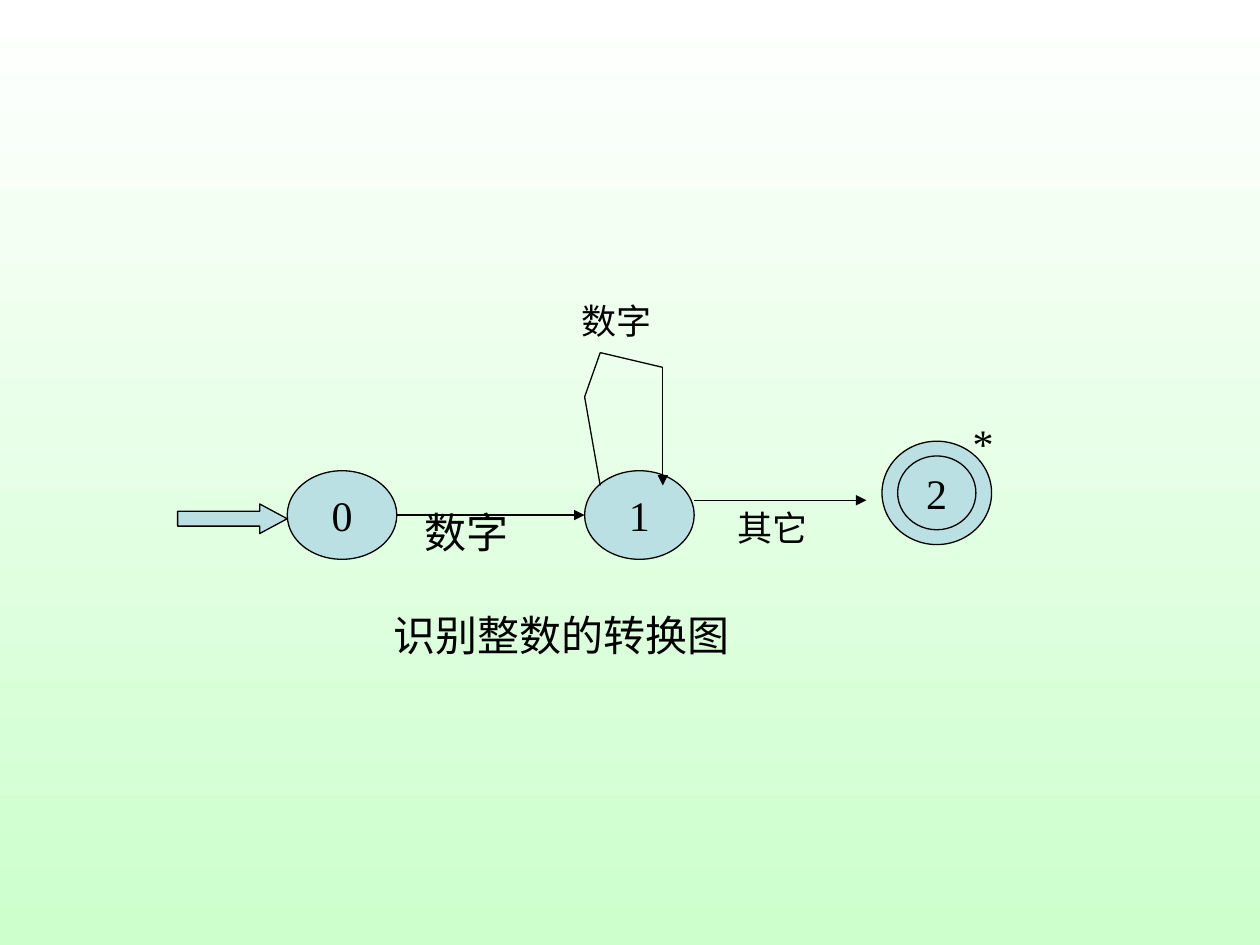
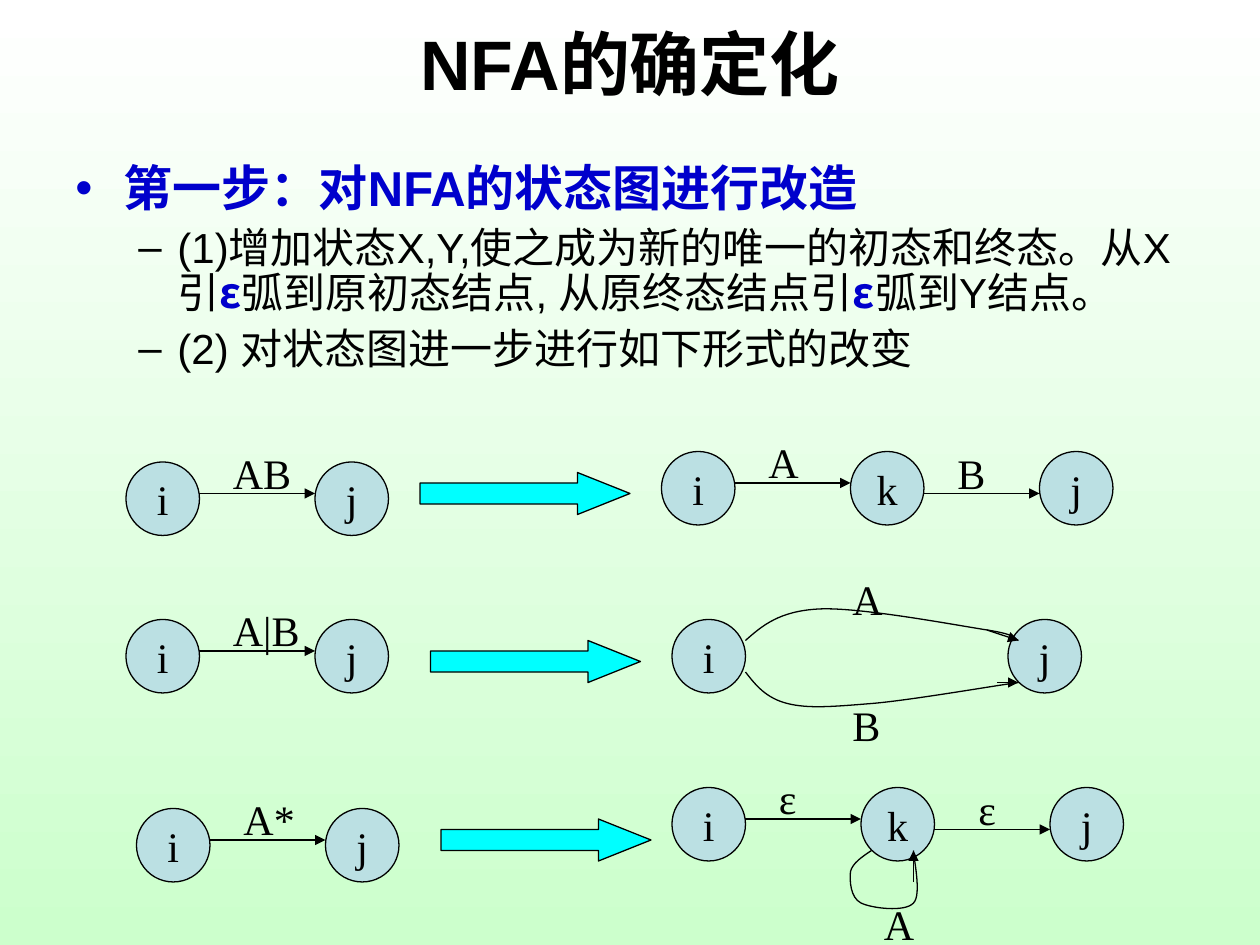
import dataclasses
import typing

import lxml.etree
import pptx
import pptx.dml.color
import pptx.enum.shapes
import pptx.enum.text
import pptx.oxml.ns
import pptx.util

RGB = pptx.dml.color.RGBColor
KIND = pptx.enum.shapes.MSO_SHAPE
ALIGN = pptx.enum.text.PP_ALIGN
ANCHOR = pptx.enum.text.MSO_ANCHOR
qn = pptx.oxml.ns.qn
Pt = pptx.util.Pt
Inches = pptx.util.Inches

BLACK = RGB(0x00, 0x00, 0x00)
WHITE = RGB(0xFF, 0xFF, 0xFF)
MINT = RGB(0xCC, 0xFF, 0xCC)
STATE = RGB(0xBB, 0xE0, 0xE3)
CYAN = RGB(0x00, 0xFF, 0xFF)
BLUE = RGB(0x00, 0x00, 0xCC)

WIDE, HIGH = 10, 7.5
SERIF, SANS, HAN = "Times New Roman", "Arial", "Noto Sans CJK JP"
NODE = {"name": SERIF, "size": Pt(24)}
SMALL = {**NODE, "size": Pt(20)}
TITLE = {"name": SANS, "size": Pt(40), "bold": True}
STEP = {"name": SANS, "size": Pt(28), "bold": True, "color": BLUE}
PLAIN = {"name": SANS, "size": Pt(24)}
MARK = {"name": HAN, "size": Pt(24), "bold": True, "color": BLUE}


@dataclasses.dataclass
class Grid:
    slide: typing.Any
    left: float
    top: float
    col: float
    row: float

    def spot(self, x, y):
        return Inches(self.left + x * self.col), Inches(self.top + y * self.row)

    def span(self, w, h):
        return Inches(w * self.col), Inches(h * self.row)


def put(thing, values):
    for key, value in values.items():
        setattr(thing, key, value)


def child(node, tag, **values):
    return lxml.etree.SubElement(node, qn(tag), values)


def add_run(para, text, style):
    run = para.add_run()
    run.text = text
    run.font.color.rgb = style.get("color", BLACK)
    put(run.font, {k: v for k, v in style.items() if k != "color"})
    child(run.font._element, "a:ea", typeface=HAN)


def outline(line):
    line.color.rgb = BLACK
    line.width = Pt(0.75)


def add_page(deck):
    slide = deck.slides.add_slide(deck.slide_layouts[6])
    fill = slide.background.fill
    fill.gradient()
    fill.gradient_angle = 270
    for stop, color in zip(fill.gradient_stops, (WHITE, MINT)):
        stop.color.rgb = color
    return slide


def add_form(grid, kind, x, y, w, h, color):
    form = grid.slide.shapes.add_shape(kind, *grid.spot(x, y), *grid.span(w, h))
    form.shadow.inherit = False
    form.fill.solid()
    form.fill.fore_color.rgb = color
    outline(form.line)
    return form


def add_state(grid, x, y, text="", w=7, h=7):
    form = add_form(grid, KIND.OVAL, x, y, w, h, STATE)
    if text:
        put(form.text_frame, {"word_wrap": False, "vertical_anchor": ANCHOR.MIDDLE})
        para = form.text_frame.paragraphs[0]
        para.alignment = ALIGN.CENTER
        add_run(para, text, NODE)


def add_block(grid, x, y, w, h, color, head):
    form = add_form(grid, KIND.RIGHT_ARROW, x, y, w, h, color)
    form.adjustments[1] = head


def add_line(grid, start, end, head=True):
    line = grid.slide.shapes.add_connector(
        pptx.enum.shapes.MSO_CONNECTOR.STRAIGHT, *grid.spot(*start), *grid.spot(*end))
    outline(line.line)
    if head:
        child(line.line._get_or_add_ln(), "a:tailEnd", type="triangle")
    child(line._element.spPr, "a:effectLst")


def add_curve(grid, points):
    start, *rest = [grid.spot(*point) for point in points]
    draft = grid.slide.shapes.build_freeform(*start)
    draft.add_line_segments(rest, close=False)
    form = draft.convert_to_shape()
    form.shadow.inherit = False
    form.fill.background()
    outline(form.line)
    steps = list(form._element.iter(qn("a:lnTo")))
    track = steps[0].getparent()
    for first in range(0, len(steps), 3):
        bend = child(track, "a:cubicBezTo")
        for step in steps[first:first + 3]:
            bend.append(step[0])
            track.remove(step)


def add_box(grid, x, y, w, h):
    box = grid.slide.shapes.add_textbox(*grid.spot(x, y), *grid.span(w, h))
    box.text_frame.word_wrap = True
    return box.text_frame


def add_label(grid, x, y, text, w=9, style=NODE):
    tall = (style["size"].pt * 1.2 / 72 + 0.1) / grid.row
    add_run(add_box(grid, x, y, w, tall).paragraphs[0], text, style)


def add_title(grid, text):
    frame = add_box(grid, 6, 0, 108, 12)
    frame.vertical_anchor = ANCHOR.MIDDLE
    para = frame.paragraphs[0]
    para.alignment = ALIGN.CENTER
    add_run(para, text, TITLE)


def add_list(grid, items):
    frame = add_box(grid, 6, 15, 110, 23)
    for spot, (level, runs) in enumerate(items):
        para = frame.add_paragraph() if spot else frame.paragraphs[0]
        left, hang, sign, color = [(0.38, 0.38, "•", BLUE), (0.81, 0.31, "–", BLACK)][level]
        props = para._p.get_or_add_pPr()
        props.set("marL", str(Inches(left)))
        props.set("indent", str(-Inches(hang)))
        child(child(props, "a:buClr"), "a:srgbClr", val=str(color))
        child(props, "a:buFont", typeface=SANS)
        child(props, "a:buChar", char=sign)
        put(para, {"level": level, "line_spacing": 0.9})
        if spot:
            para.space_before = Pt(6)
        for text, style in runs:
            add_run(para, text, style)


def add_hop(grid, x, y, text, lead=2, w=9):
    add_line(grid, (x, y), (x + 11, y))
    add_label(grid, x + lead, y - 5, text, w)


def add_pair(grid, x, y, text):
    add_state(grid, x, y, "i")
    add_state(grid, x + 18, y, "j")
    add_hop(grid, x + 7, y + 3, text)


def add_chain(grid, x, y, names, **second):
    for spot, text in enumerate("ikj"):
        add_state(grid, x + 18 * spot, y, text)
    add_hop(grid, x + 7, y + 3, names[0], w=second.get("w", 9))
    add_hop(grid, x + 25, y + 4, names[1], **second)


def draw_digits(deck):
    grid = Grid(add_page(deck), 1.41, 2.33, WIDE / 80.5, HIGH / 64)
    add_state(grid, 45, 10, h=7)
    add_state(grid, 7, 12, "0", h=6)
    add_state(grid, 26, 12, "1", h=6)
    add_state(grid, 46, 11, "2", 5, 5)
    add_line(grid, (14, 15), (26, 15))
    add_line(grid, (33, 14), (44, 14))
    turns = [(27, 13), (26, 7), (27, 4), (31, 5), (31, 13)]
    for start, end in zip(turns, turns[1:]):
        add_line(grid, start, end, end == turns[-1])
    add_label(grid, 15, 14, "数字", 14)
    add_label(grid, 25, 0, "数字", 10, SMALL)
    add_label(grid, 35, 14, "其它", 13, SMALL)
    add_label(grid, 13, 21, "识别整数的转换图", 41)
    add_label(grid, 50, 8, "*", 5)
    add_block(grid, 0, 14.25, 7, 2, STATE, 0.93)


def draw_rules(deck):
    grid = Grid(add_page(deck), 0, 0, WIDE / 120, HIGH / 90)
    add_title(grid, "NFA的确定化")
    add_list(grid, [
        (0, [("第一步：对NFA的状态图进行改造", STEP)]),
        (1, [("(1)增加状态X,Y,使之成为新的唯一的初态和终态。从X引", PLAIN), ("ε", MARK),
             ("弧到原初态结点, 从原终态结点引", PLAIN), ("ε", MARK), ("弧到Y结点。", PLAIN)]),
        (1, [("(2) 对状态图进一步进行如下形式的改变", PLAIN)]),
    ])
    for x, y, text in [(12, 44, "AB"), (12, 59, "A|B"), (13, 77, "A*")]:
        add_pair(grid, x, y, text)
    add_chain(grid, 63, 43, "AB")

    add_state(grid, 64, 59, "i")
    add_state(grid, 96, 59, "j")
    add_label(grid, 80, 54, "A")
    add_label(grid, 80, 66, "B")
    add_curve(grid, [(71, 61), (72.6, 59.6), (74.2, 58.2), (78, 58), (81.8, 57.8),
                     (90.8, 59.5), (94, 60), (97.2, 60.5), (96.5, 60.9), (97, 61)])
    add_curve(grid, [(71, 64), (72, 65.3), (73, 66.5), (75, 67), (77, 67.5),
                     (79.3, 67.3), (83, 67), (86.7, 66.7), (94.7, 65.3), (97, 65)])
    add_line(grid, (94, 60), (97, 61))
    add_line(grid, (95, 65), (97, 65))

    add_chain(grid, 64, 75, "εε", lead=3, w=4)
    add_curve(grid, [(83, 81), (82.1, 81.6), (81.2, 82.2), (81, 83), (80.9, 83.9),
                     (81, 85.5), (82, 86), (83, 86.5), (86.2, 86.9), (87, 86),
                     (87.8, 85.2), (87, 81.7), (87, 81)])
    add_line(grid, (87, 84), (87, 81))
    add_label(grid, 83, 85, "A", 6)
    for x, y in [(40, 45), (41, 61), (42, 78)]:
        add_block(grid, x, y, 20, 4, CYAN, 1.25)


def main():
    deck = pptx.Presentation()
    put(deck, {"slide_width": Inches(WIDE), "slide_height": Inches(HIGH)})
    draw_digits(deck)
    draw_rules(deck)
    deck.save("out.pptx")


if __name__ == "__main__":
    main()
